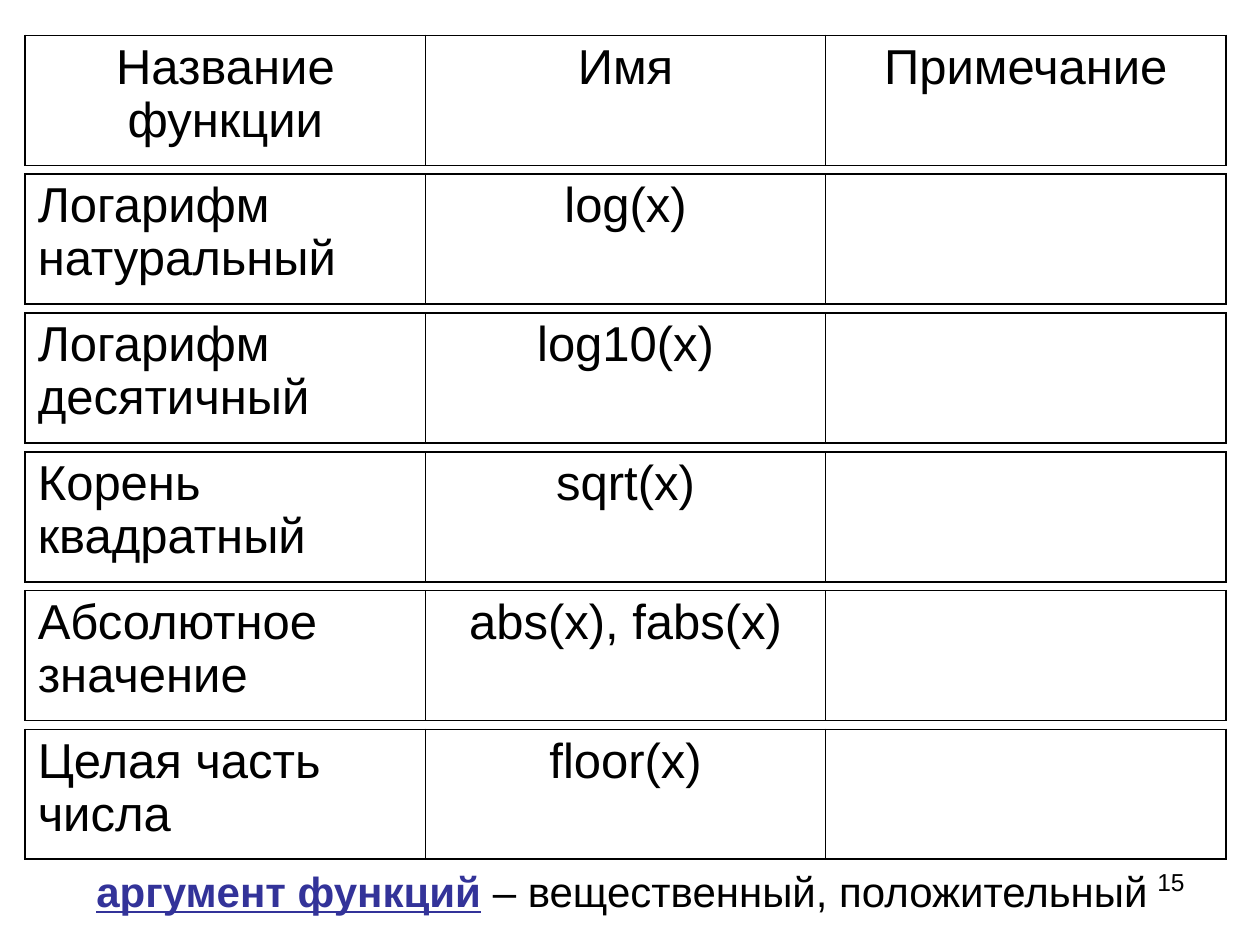
from dataclasses import dataclass

from lxml import etree
from pptx import Presentation
from pptx.dml.color import RGBColor
from pptx.enum.text import PP_ALIGN
from pptx.oxml.ns import qn
from pptx.util import Pt

LEFT, CENTER, RIGHT = PP_ALIGN.LEFT, PP_ALIGN.CENTER, PP_ALIGN.RIGHT

HEADER = ("Название функции", "Имя", "Примечание")
FUNCTIONS = [
    ("Логарифм натуральный", "log(x)", ""),
    ("Логарифм десятичный", "log10(x)", ""),
    ("Корень квадратный", "sqrt(x)", ""),
    ("Абсолютное значение", "abs(x), fabs(x)", ""),
    ("Целая часть числа", "floor(x)", ""),
]
ARGUMENT_TERM = "аргумент функций"
ARGUMENT_KIND = " – вещественный, положительный"
PAGE_NUMBER = "15"


@dataclass(frozen=True)
class Theme:
    font: str = "Arial"
    ink: str = "000000"
    accent: str = "333399"
    table_size: float = 28
    note_size: float = 24
    number_size: float = 14
    outer_line: float = 1.08
    inner_line: float = 0.45
    line_spacing: float = 0.97


THEME = Theme()
STRIP_LEFT, STRIP_TOP = 14.4, 20.3
STRIP_PITCH, STRIP_HEIGHT = 79.3, 74.2
COLUMN_WIDTH = 228.7


def style_font(font, size, color=THEME.ink):
    font.name = THEME.font
    font.size = Pt(size)
    font.color.rgb = RGBColor.from_string(color)


def add_border(cell, side, width):
    line = etree.SubElement(cell._tc.get_or_add_tcPr(), qn(f"a:ln{side}"), w=str(Pt(width)))
    fill = etree.SubElement(line, qn("a:solidFill"))
    etree.SubElement(fill, qn("a:srgbClr"), val=THEME.ink)


def fill_cell(cell, text, column, column_count, align):
    left = THEME.outer_line if column == 0 else THEME.inner_line
    right = THEME.outer_line if column == column_count - 1 else THEME.inner_line
    borders = {"L": left, "R": right, "T": THEME.outer_line, "B": THEME.outer_line}
    for side, width in borders.items():
        add_border(cell, side, width)
    cell.fill.background()
    paragraph = cell.text_frame.paragraphs[0]
    paragraph.text = text
    paragraph.alignment = align
    paragraph.line_spacing = THEME.line_spacing
    for run in paragraph.runs:
        style_font(run.font, THEME.table_size)


def add_strip(slide, index, texts):
    """Add one row of the list as a separate single-row table."""
    count = len(texts)
    table = slide.shapes.add_table(
        1, count, Pt(STRIP_LEFT), Pt(STRIP_TOP + index * STRIP_PITCH),
        Pt(COLUMN_WIDTH * count), Pt(STRIP_HEIGHT)).table
    table.first_row = table.horz_banding = False
    for column, text in enumerate(texts):
        align = LEFT if index > 0 and column == 0 else CENTER
        fill_cell(table.cell(0, column), text, column, count, align)


def add_text_line(slide, left, top, width, height, align):
    frame = slide.shapes.add_textbox(Pt(left), Pt(top), Pt(width), Pt(height)).text_frame
    frame.word_wrap = True
    paragraph = frame.paragraphs[0]
    paragraph.alignment = align
    return paragraph


def main():
    deck = Presentation()
    deck.slide_width, deck.slide_height = Pt(720), Pt(540)
    slide = deck.slides.add_slide(deck.slide_layouts[6])

    number = add_text_line(slide, 516, 492, 168, 37.5, RIGHT)
    number.text = PAGE_NUMBER
    style_font(number.runs[0].font, THEME.number_size)

    for index, texts in enumerate([HEADER, *FUNCTIONS]):
        add_strip(slide, index, texts)

    note = add_text_line(slide, 48, 491, 672, 36, LEFT)
    term, kind = note.add_run(), note.add_run()
    term.text, kind.text = ARGUMENT_TERM, ARGUMENT_KIND
    style_font(term.font, THEME.note_size, THEME.accent)
    term.font.bold = term.font.underline = True
    style_font(kind.font, THEME.note_size)

    deck.save("out.pptx")


if __name__ == "__main__":
    main()
